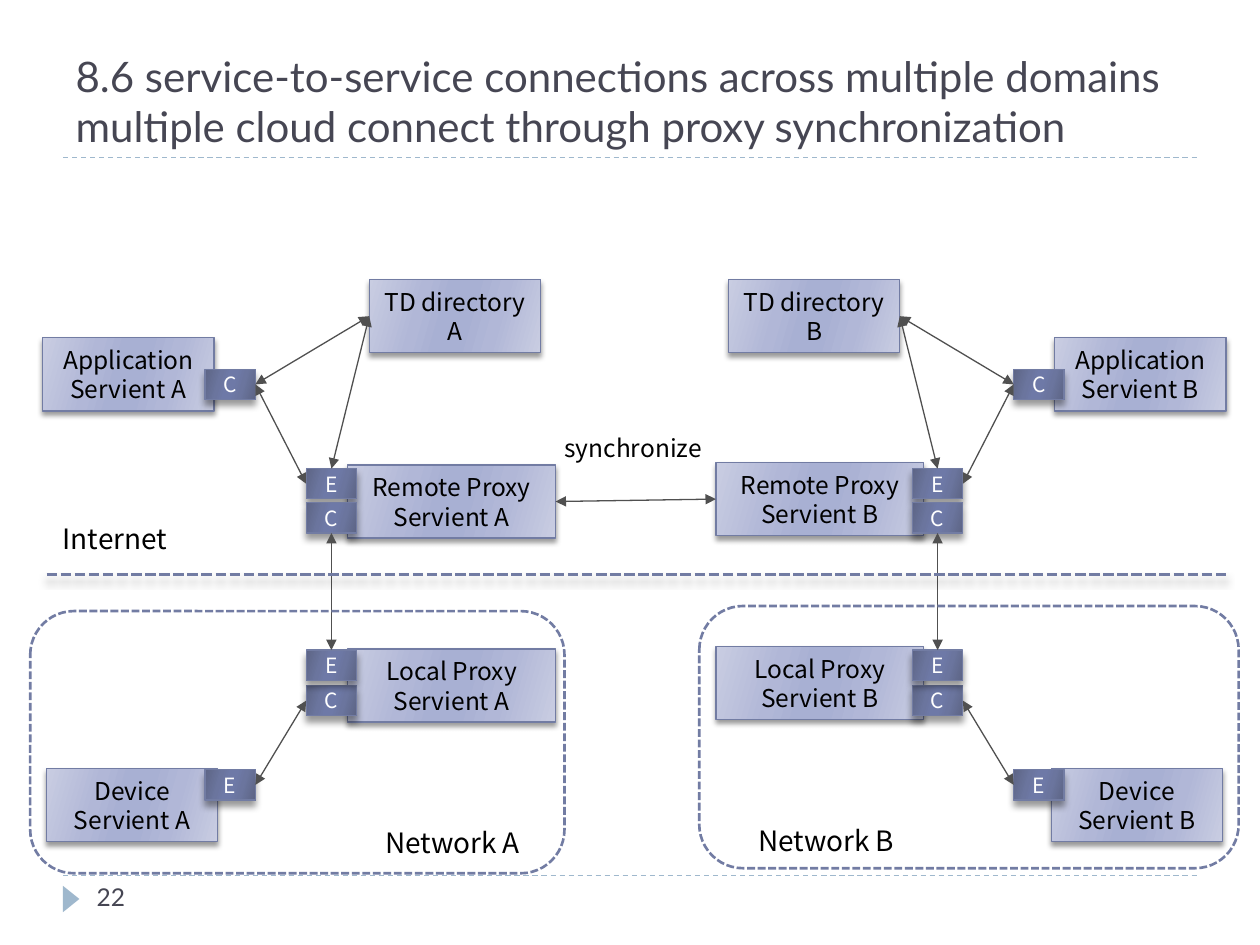
"""Build the slide on proxy synchronization between two domains."""
from dataclasses import dataclass

from lxml.etree import SubElement
from pptx import Presentation
from pptx.dml.color import RGBColor
from pptx.enum.dml import MSO_LINE
from pptx.enum.shapes import MSO_CONNECTOR, MSO_SHAPE
from pptx.enum.text import MSO_ANCHOR, MSO_AUTO_SIZE, PP_ALIGN
from pptx.oxml.ns import qn
from pptx.util import Pt

COLORS = {
    "title": "464653", "text": "000000", "chip_text": "FFFFFF", "rule": "9FB8CD",
    "border": "727CA3", "arrow": "505050", "shadow": "000000",
    "block_edge": "C9CDE2", "block_mid": "B1B7D7", "block_core": "A8B0D3",
    "chip_edge": "5D6585", "chip_mid": "6B759E", "chip_core": "6E79A7",
}
BODY_FONT = "Noto Sans CJK JP"
TITLE_FONT = "Lato"
MIRROR_WIDTH = 725.2
GRADIENT = ((0, "edge"), (30, "mid"), (45, "core"), (55, "core"), (73, "mid"), (100, "edge"))
TOP, LEFT, BOTTOM, RIGHT = range(4)
MIRRORED_SITE = {TOP: TOP, BOTTOM: BOTTOM, LEFT: RIGHT, RIGHT: LEFT}


@dataclass(frozen=True)
class Style:
    name: str
    height: float
    size: float
    blur: float
    distance: float
    text_color: str


@dataclass(frozen=True)
class Node:
    key: str
    text: str
    left: float
    top: float
    width: float
    style: Style
    nudge: float = 0
    inset: float = 7.2


@dataclass(frozen=True)
class Link:
    start: str
    start_site: int
    end: str
    end_site: int


@dataclass(frozen=True)
class Label:
    text: str
    left: float
    top: float
    width: float
    height: float
    size: float = 16
    font: str = BODY_FONT
    color: str = "text"
    wrap: bool = False


BLOCK = Style("block", 41.8, 14, 3, 2, "text")
CHIP = Style("chip", 17.3, 12, 4, 3.4, "chip_text")
NODES = (
    Node("remote", "Remote Proxy Servient", 198.7, 265.7, 118.8, BLOCK, 1.4, 2.9),
    Node("local", "Local Proxy Servient", 198.7, 370.8, 118.8, BLOCK, 1.4, 2.9),
    Node("device", "Device Servient", 26.6, 439.2, 97.9, BLOCK),
    Node("application", "Application Servient", 24.5, 193, 97.9, BLOCK),
    Node("directory", "TD directory", 211, 159.8, 97.9, BLOCK),
    Node("local client", "C", 175, 391.7, 28.8, CHIP),
    Node("device server", "E", 117.1, 439.9, 28.8, CHIP),
    Node("application client", "C", 117.1, 211, 28.8, CHIP),
    Node("remote server", "E", 175, 267.8, 28.8, CHIP),
    Node("local server", "E", 175, 371.5, 28.8, CHIP),
    Node("remote client", "C", 175, 287.3, 28.8, CHIP),
)
LINKS = (
    Link("application client", RIGHT, "remote server", LEFT),
    Link("device server", RIGHT, "local client", LEFT),
    Link("remote client", BOTTOM, "local server", TOP),
    Link("application client", RIGHT, "directory", LEFT),
    Link("remote server", TOP, "directory", LEFT),
)
FRAMES = ((17.3, 349.2, 305.3, 149.8), (399.6, 346.3, 308.2, 149.8))
LABELS = (
    Label("Internet", 28.8, 294.5, 78.5, 26.6),
    Label("Network A", 213.1, 468, 97.2, 26.6),
    Label("Network B", 426.2, 467.3, 97.2, 26.6),
    Label("synchronize", 315.4, 244.1, 95.8, 24.5, 14),
    Label("22", 48.2, 500.4, 156.2, 28.8, 14, TITLE_FONT, "title", True),
)


def rgb(name: str) -> RGBColor:
    return RGBColor.from_string(COLORS[name])


def add_run(paragraph, text: str, size: float, font: str, color: str) -> None:
    span = paragraph.add_run()
    span.text = text
    span.font.size = Pt(size)
    span.font.name = font
    span.font.color.rgb = rgb(color)


def add_shadow(effects, blur: float, distance: float) -> None:
    shadow = SubElement(effects, qn("a:outerShdw"), blurRad=str(Pt(blur)),
                        dist=str(Pt(distance)), dir="5400000", rotWithShape="0")
    color = SubElement(shadow, qn("a:srgbClr"), val=COLORS["shadow"])
    SubElement(color, qn("a:alpha"), val="40000")


def fill_gradient(shape, style: Style) -> None:
    shape.fill.gradient()
    shape.fill.gradient_angle = 344
    stops = shape._element.spPr.find(".//" + qn("a:gsLst"))
    stops.clear()
    for position, tone in GRADIENT:
        stop = SubElement(stops, qn("a:gs"), pos=str(position * 1000))
        SubElement(stop, qn("a:srgbClr"), val=COLORS[f"{style.name}_{tone}"])


def add_node(page, node: Node, domain: str):
    left, top, style = node.left, node.top, node.style
    if domain == "B":
        left = MIRROR_WIDTH - node.left - node.width + node.nudge
        top -= node.nudge
    box = page.shapes.add_shape(MSO_SHAPE.RECTANGLE, Pt(left), Pt(top),
                                Pt(node.width), Pt(style.height))
    fill_gradient(box, style)
    box.line.color.rgb = rgb("border")
    box.line.width = Pt(0.75)
    box.shadow.inherit = False
    add_shadow(box._element.spPr.find(qn("a:effectLst")), style.blur, style.distance)
    frame = box.text_frame
    frame.word_wrap = style is BLOCK
    frame.vertical_anchor = MSO_ANCHOR.MIDDLE
    frame.margin_left = frame.margin_right = Pt(node.inset)
    paragraph = frame.paragraphs[0]
    paragraph.alignment = PP_ALIGN.CENTER
    text = f"{node.text} {domain}" if style is BLOCK else node.text
    add_run(paragraph, text, style.size, BODY_FONT, style.text_color)
    return box


def add_line(page, start: tuple, end: tuple, color: str, width: float = 0.75, dash=None):
    line = page.shapes.add_connector(MSO_CONNECTOR.STRAIGHT, *map(Pt, start + end))
    line.line.color.rgb = rgb(color)
    line.line.width = Pt(width)
    if dash is not None:
        line.line.dash_style = dash
    SubElement(line._element.spPr, qn("a:effectLst"))
    return line


def add_arrow(page, start_box, start_site: int, end_box, end_site: int) -> None:
    arrow = add_line(page, (0, 0), (0, 0), "arrow")
    arrow.begin_connect(start_box, start_site)
    arrow.end_connect(end_box, end_site)
    outline = arrow._element.spPr.find(qn("a:ln"))
    for tag in ("a:headEnd", "a:tailEnd"):
        SubElement(outline, qn(tag), type="triangle")


def add_domain(page, domain: str) -> dict:
    boxes = {node.key: add_node(page, node, domain) for node in NODES}
    for link in LINKS:
        sites = [link.start_site, link.end_site]
        if domain == "B":
            sites = [MIRRORED_SITE[site] for site in sites]
        add_arrow(page, boxes[link.start], sites[0], boxes[link.end], sites[1])
    return boxes


def add_frame(page, bounds: tuple) -> None:
    frame = page.shapes.add_shape(MSO_SHAPE.ROUNDED_RECTANGLE, *map(Pt, bounds))
    frame.shadow.inherit = False
    frame.fill.background()
    frame.line.color.rgb = rgb("border")
    frame.line.width = Pt(1.5)
    frame.line.dash_style = MSO_LINE.SQUARE_DOT


def add_label(page, label: Label) -> None:
    box = page.shapes.add_textbox(Pt(label.left), Pt(label.top), Pt(label.width), Pt(label.height))
    box.text_frame.word_wrap = label.wrap
    box.text_frame.auto_size = MSO_AUTO_SIZE.NONE if label.wrap else MSO_AUTO_SIZE.SHAPE_TO_FIT_TEXT
    add_run(box.text_frame.paragraphs[0], label.text, label.size, label.font, label.color)


def add_title(page) -> None:
    title = page.shapes.title
    title.left, title.top, title.width, title.height = map(Pt, (36, 18, 648, 72))
    title.text_frame.auto_size = MSO_AUTO_SIZE.NONE
    title.text_frame.vertical_anchor = MSO_ANCHOR.BOTTOM
    paragraph = title.text_frame.paragraphs[0]
    paragraph.alignment = PP_ALIGN.LEFT
    add_run(paragraph, "8.6 service-to-service connections across multiple domains", 24, TITLE_FONT, "title")
    paragraph.add_line_break()
    SubElement(paragraph._p.find(qn("a:br")), qn("a:rPr"), sz="2400")
    add_run(paragraph, "multiple cloud connect through proxy synchronization", 24, TITLE_FONT, "title")


def add_decoration(page) -> None:
    for height in (500.4, 90):
        add_line(page, (36, height), (684, height), "rule", dash=MSO_LINE.DASH)
    marker = page.shapes.add_shape(MSO_SHAPE.ISOSCELES_TRIANGLE, Pt(33.1), Pt(509), Pt(15.1), Pt(9.4))
    marker.rotation = 90
    marker.shadow.inherit = False
    marker.fill.solid()
    marker.fill.fore_color.rgb = rgb("rule")
    marker.line.fill.background()


def main() -> None:
    deck = Presentation()
    deck.slide_width, deck.slide_height = Pt(720), Pt(540)
    page = deck.slides.add_slide(deck.slide_layouts[5])
    add_decoration(page)
    add_title(page)
    domain_a, domain_b = (add_domain(page, domain) for domain in "AB")
    border = add_line(page, (26.6, 328.3), (700.6, 328.3), "border", 2, MSO_LINE.SQUARE_DOT)
    add_shadow(border._element.spPr.find(qn("a:effectLst")), 4, 3.4)
    for bounds in FRAMES:
        add_frame(page, bounds)
    add_arrow(page, domain_a["remote"], RIGHT, domain_b["remote"], LEFT)
    for label in LABELS:
        add_label(page, label)
    deck.save("out.pptx")


if __name__ == "__main__":
    main()
